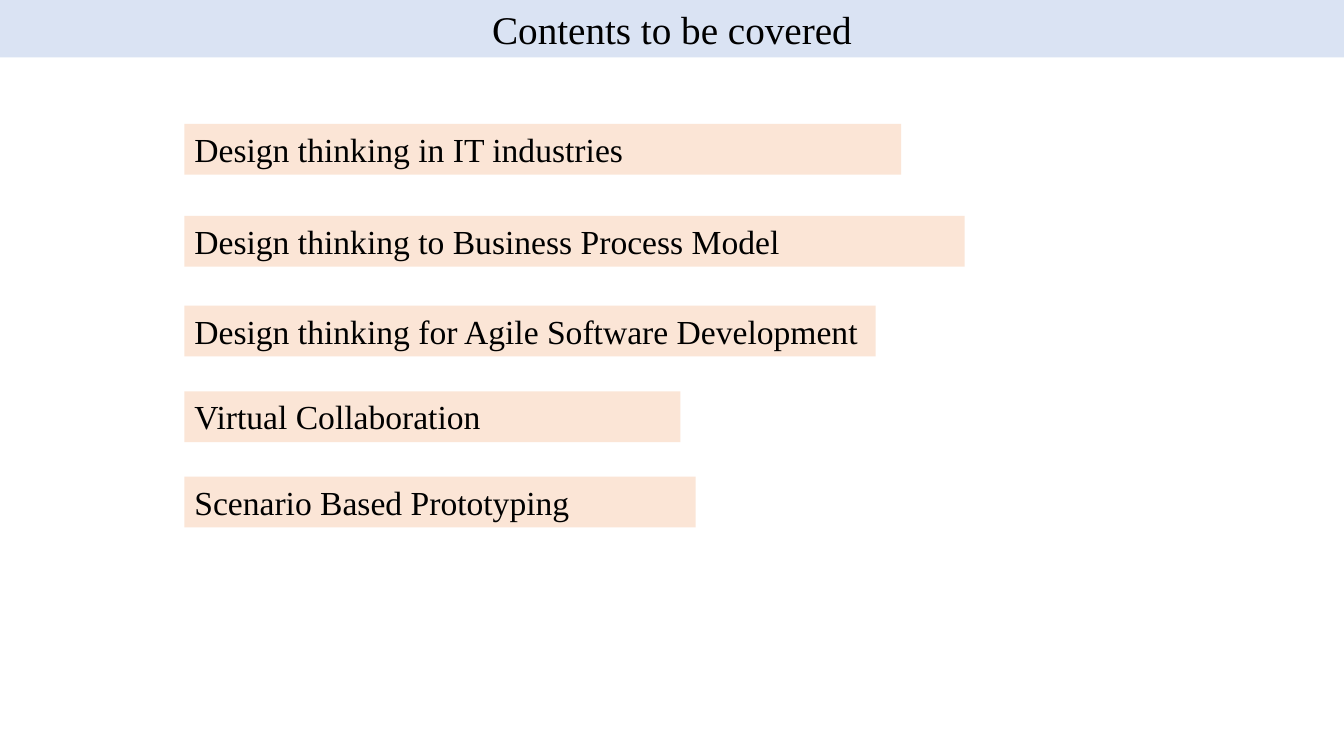
import dataclasses

import pptx
import pptx.dml.color
import pptx.enum.shapes
import pptx.enum.text
import pptx.slide
import pptx.util

Cm = pptx.util.Cm
Align = pptx.enum.text.PP_ALIGN


@dataclasses.dataclass(frozen=True)
class Theme:
    font: str = "Times New Roman"
    text: str = "000000"
    title_fill: str = "DAE3F3"
    topic_fill: str = "FBE5D6"
    title_size: int = 28
    topic_size: int = 24


@dataclasses.dataclass(frozen=True)
class Bar:
    """A filled box with one line of text; lengths in centimetres."""
    text: str
    left: float
    top: float
    width: float
    height: float
    fill: str
    size: int
    align: Align = Align.LEFT


THEME = Theme()
PAGE_WIDTH, PAGE_HEIGHT = 33.87, 19.05
TOPIC_LEFT, TOPIC_HEIGHT = 4.65, 1.28

# Topic text, top, width
TOPICS: list[tuple[str, float, float]] = [
    ("Design thinking in IT industries", 3.12, 18.06),
    ("Design thinking to Business Process Model", 5.44, 19.66),
    ("Design thinking for Agile Software Development", 7.7, 17.42),
    ("Virtual Collaboration", 9.86, 12.5),
    ("Scenario Based Prototyping", 12.01, 12.88),
]


def draw_bar(page: pptx.slide.Slide, bar: Bar) -> None:
    box = page.shapes.add_shape(
        pptx.enum.shapes.MSO_SHAPE.RECTANGLE,
        Cm(bar.left), Cm(bar.top), Cm(bar.width), Cm(bar.height))
    box.shadow.inherit = False
    box.fill.solid()
    box.fill.fore_color.rgb = pptx.dml.color.RGBColor.from_string(bar.fill)
    box.line.fill.background()

    frame = box.text_frame
    frame.word_wrap = True
    frame.auto_size = pptx.enum.text.MSO_AUTO_SIZE.SHAPE_TO_FIT_TEXT
    frame.vertical_anchor = pptx.enum.text.MSO_ANCHOR.TOP
    para = frame.paragraphs[0]
    para.text = bar.text
    para.alignment = bar.align
    para.font.name = THEME.font
    para.font.size = pptx.util.Pt(bar.size)
    para.font.color.rgb = pptx.dml.color.RGBColor.from_string(THEME.text)


def main() -> None:
    deck = pptx.Presentation()
    deck.slide_width, deck.slide_height = Cm(PAGE_WIDTH), Cm(PAGE_HEIGHT)
    page = deck.slides.add_slide(deck.slide_layouts[6])

    # Title band
    draw_bar(page, Bar("Contents to be covered", 0, 0, PAGE_WIDTH, 1.45,
                       THEME.title_fill, THEME.title_size, Align.CENTER))

    # Topic list
    for text, top, width in TOPICS:
        draw_bar(page, Bar(text, TOPIC_LEFT, top, width, TOPIC_HEIGHT,
                           THEME.topic_fill, THEME.topic_size))

    deck.save("out.pptx")


if __name__ == "__main__":
    main()
